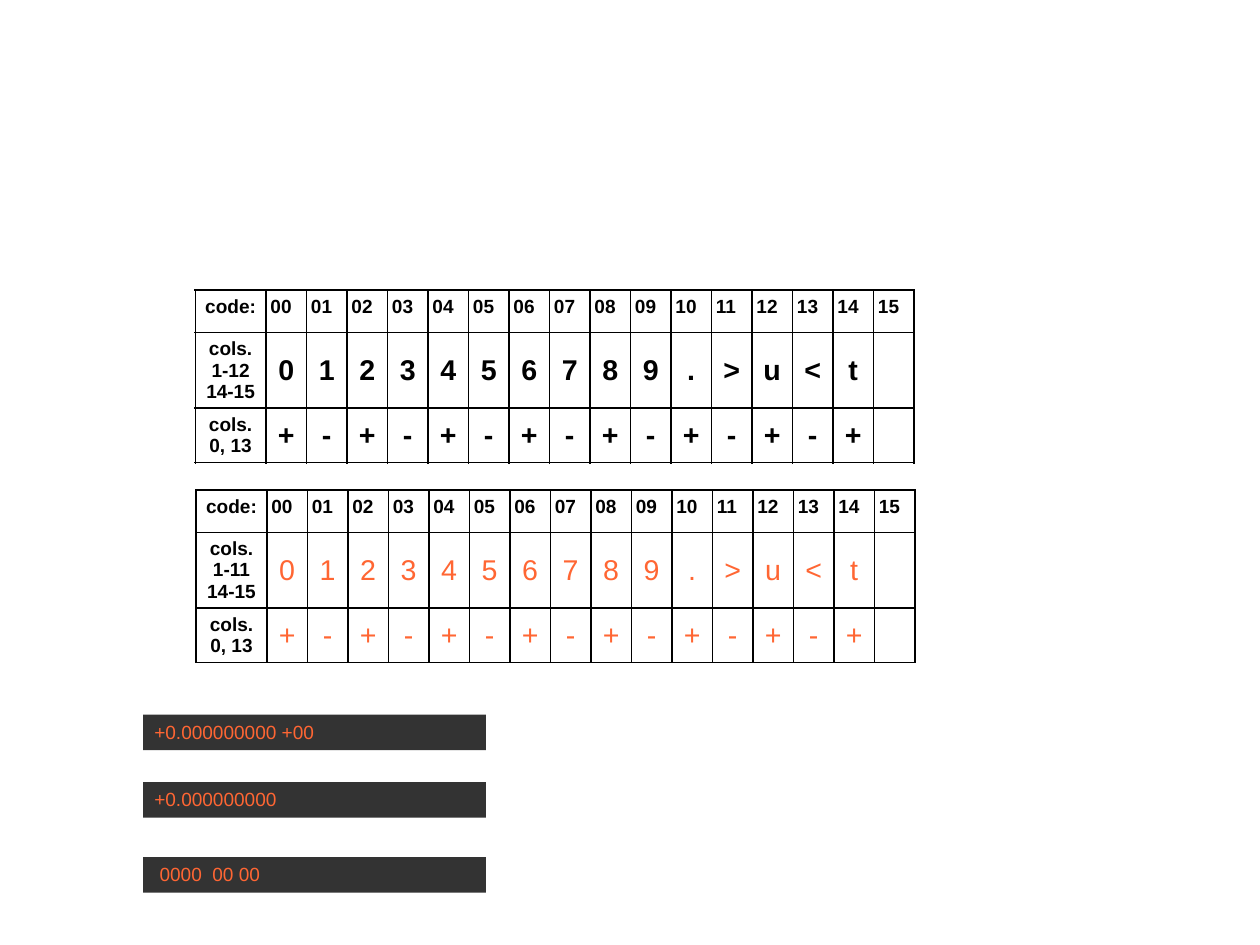
from dataclasses import dataclass

from lxml import etree
from pptx import Presentation
from pptx import util as u
from pptx.dml.color import RGBColor
from pptx.enum import shapes, text
from pptx.oxml import ns


@dataclass(frozen=True)
class Theme:
    font: str = "Arial"
    ink: str = "000000"
    glow: str = "FF6633"
    panel: str = "333333"
    label_size: int = 12
    symbol_size: int = 18
    border_width: float = 1.13


THEME = Theme()
CODES = [f"{code:02d}" for code in range(16)]
DIGITS = list("0123456789.>u<t")
SIGNS = ["+-"[code % 2] for code in range(15)]
LABEL_WIDTH, CODE_WIDTH = u.Cm(1.57), u.Cm(0.9)
ROW_HEIGHTS = [u.Cm(0.94), u.Cm(1.68), u.Cm(1.2)]


def format_text(frame, size, color, bold, align):
    for para in frame.paragraphs:
        para.alignment = align
        for span in para.runs:
            span.font.name = THEME.font
            span.font.size = u.Pt(size)
            span.font.bold = bold
            span.font.color.rgb = RGBColor.from_string(color)


def set_borders(cell):
    properties = cell._tc.get_or_add_tcPr()
    for index, side in enumerate(("lnL", "lnR", "lnT", "lnB")):
        line = etree.Element(ns.qn(f"a:{side}"), w=str(u.Pt(THEME.border_width)))
        fill = etree.SubElement(line, ns.qn("a:solidFill"))
        etree.SubElement(fill, ns.qn("a:srgbClr"), val=THEME.ink)
        properties.insert(index, line)


def fill_cell(cell, content, size, color, bold, align, anchor):
    cell.fill.background()
    cell.margin_left = cell.margin_right = u.Cm(0.1)
    cell.margin_top = cell.margin_bottom = u.Cm(0.13)
    cell.vertical_anchor = anchor
    set_borders(cell)
    cell.text_frame.text = content
    format_text(cell.text_frame, size, color, bold, align)


def add_code_table(slide, left, top, digit_columns, symbol_color, symbol_bold):
    """Add a table of display codes with their digits and signs."""
    rows = [
        ["code:", *CODES],
        [f"cols.\n{digit_columns}\n14-15", *DIGITS, ""],
        ["cols.\n0, 13", *SIGNS, ""],
    ]
    width = LABEL_WIDTH + CODE_WIDTH * len(CODES)
    table = slide.shapes.add_table(
        len(rows), len(rows[0]), left, top, width, sum(ROW_HEIGHTS)
    ).table
    table.first_row = table.horz_banding = False
    for index, column in enumerate(table.columns):
        column.width = CODE_WIDTH if index else LABEL_WIDTH
    for row, height in zip(table.rows, ROW_HEIGHTS):
        row.height = height

    center, left_align = text.PP_ALIGN.CENTER, text.PP_ALIGN.LEFT
    top_anchor, middle = text.MSO_ANCHOR.TOP, text.MSO_ANCHOR.MIDDLE
    label = (THEME.label_size, THEME.ink, True, center, top_anchor)
    code = (THEME.label_size, THEME.ink, True, left_align, top_anchor)
    symbol = (THEME.symbol_size, symbol_color, symbol_bold, center, middle)
    for row_index, row in enumerate(rows):
        for column_index, content in enumerate(row):
            if column_index == 0:
                style = label
            else:
                style = symbol if row_index else code
            fill_cell(table.cell(row_index, column_index), content, *style)


def add_display(slide, top, content):
    """Add a dark panel with glowing characters."""
    box = slide.shapes.add_shape(
        shapes.MSO_SHAPE.RECTANGLE, u.Cm(3.18), top, u.Cm(7.62), u.Cm(0.79)
    )
    box.shadow.inherit = False
    box.fill.solid()
    box.fill.fore_color.rgb = RGBColor.from_string(THEME.panel)
    box.line.fill.background()
    frame = box.text_frame
    frame.word_wrap = True
    frame.auto_size = text.MSO_AUTO_SIZE.SHAPE_TO_FIT_TEXT
    frame.vertical_anchor = text.MSO_ANCHOR.TOP
    frame.text = content
    format_text(frame, THEME.label_size, THEME.glow, False, text.PP_ALIGN.LEFT)


def main():
    deck = Presentation()
    deck.slide_width, deck.slide_height = u.Cm(28), u.Cm(21)
    page = deck.slides.add_slide(deck.slide_layouts[6])
    add_code_table(page, u.Cm(4.34), u.Cm(6.45), "1-12", THEME.ink, True)
    add_code_table(page, u.Cm(4.36), u.Cm(10.89), "1-11", THEME.glow, False)
    add_display(page, u.Cm(15.88), "+0.000000000 +00")
    add_display(page, u.Cm(17.38), "+0.000000000")
    add_display(page, u.Cm(19.05), " 0000  00 00")
    deck.save("out.pptx")


if __name__ == "__main__":
    main()
